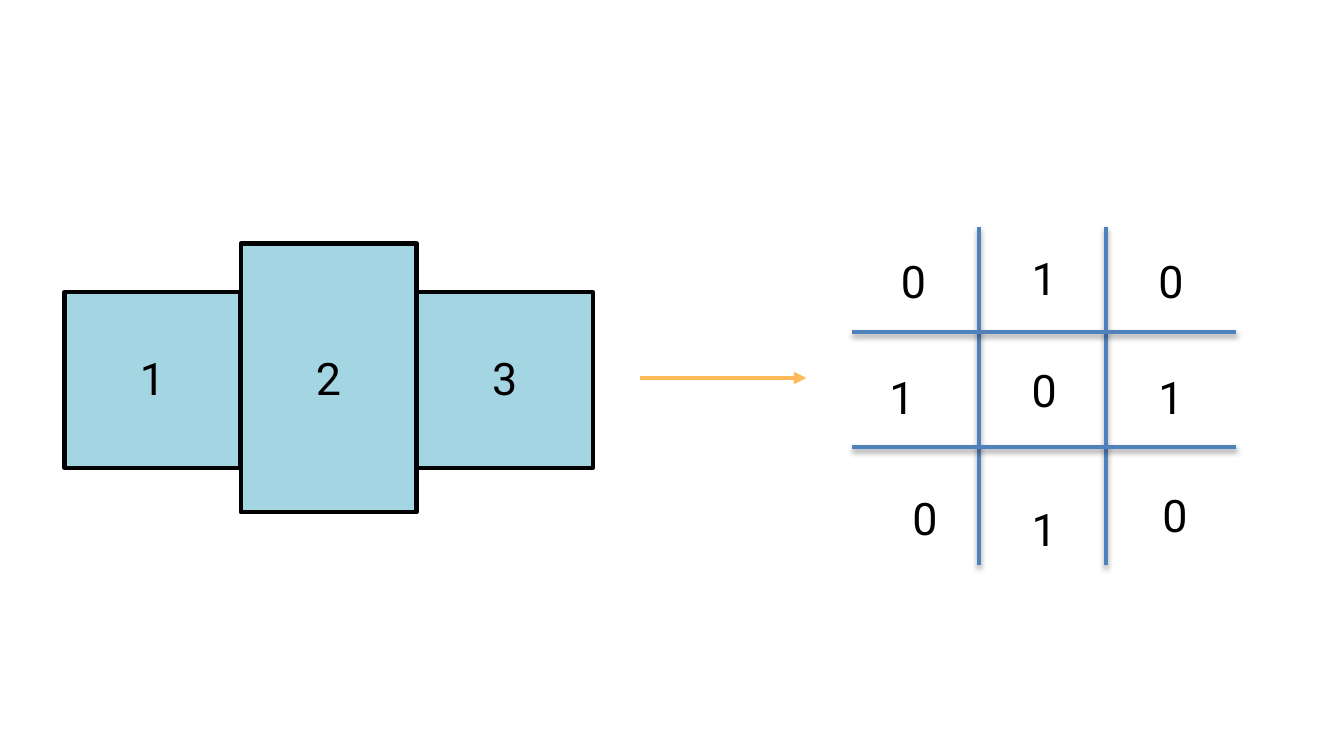
from lxml import etree
from pptx import Presentation
from pptx.dml.color import RGBColor
from pptx.enum.shapes import MSO_CONNECTOR, MSO_SHAPE
from pptx.enum.text import MSO_ANCHOR, PP_ALIGN
from pptx.oxml import parse_xml
from pptx.oxml.ns import nsdecls, qn
from pptx.util import Inches, Pt

STRAIGHT, RECT = MSO_CONNECTOR.STRAIGHT, MSO_SHAPE.RECTANGLE
MIDDLE, CENTER = MSO_ANCHOR.MIDDLE, PP_ALIGN.CENTER

SLIDE_W = 10
SLIDE_H = SLIDE_W * 9 / 16
LABEL_W, LABEL_H = 0.97, 1.01
LABEL_FONT = {"name": "Roboto", "size": Pt(24)}
LABEL_FRAME = {"word_wrap": True, "vertical_anchor": MIDDLE}
LABEL_FRAME.update({f"margin_{side}": Inches(0.1) for side in ("left", "top", "right", "bottom")})

SHADOW = (
    f'<a:effectLst {nsdecls("a")}>'
    f'<a:outerShdw blurRad="{Pt(3.1)}" dist="{Pt(1.6)}" dir="5400000" rotWithShape="0">'
    '<a:srgbClr val="000000"><a:alpha val="38000"/></a:srgbClr>'
    "</a:outerShdw></a:effectLst>"
)
NO_EFFECT = f'<a:effectLst {nsdecls("a")}/>'

GRID_COLUMNS = (0.33, 0.66)
GRID_ROWS = (0.31, 0.65)
# Digit and its centre, as shares of the grid's width and height
GRID_DIGITS = (
    ("0", 0.16, 0.16), ("1", 0.5, 0.15), ("0", 0.83, 0.16),
    ("1", 0.13, 0.5), ("0", 0.5, 0.48), ("1", 0.83, 0.5),
    ("0", 0.19, 0.86), ("1", 0.5, 0.89), ("0", 0.84, 0.85),
)


def color(hex_string):
    return RGBColor.from_string(hex_string)


def set_attrs(target, values):
    for name, value in values.items():
        setattr(target, name, value)


def add_label(slide, text, cx, cy):
    """Add a digit centred on (cx, cy)."""
    box = [Inches(v) for v in (cx - LABEL_W / 2, cy - LABEL_H / 2, LABEL_W, LABEL_H)]
    tf = slide.shapes.add_textbox(*box).text_frame
    set_attrs(tf, LABEL_FRAME)
    p = tf.paragraphs[0]
    p.alignment = CENTER
    r = p.add_run()
    r.text = text
    set_attrs(r.font, LABEL_FONT)
    r.font.color.rgb = color("000000")


def add_line(slide, ends, line_color, width, effect):
    line = slide.shapes.add_connector(STRAIGHT, *[Inches(v) for v in ends])
    line.line.color.rgb = color(line_color)
    line.line.width = Pt(width)
    line._element.spPr.append(parse_xml(effect))
    return line


def add_block(slide, x, y, w, h):
    sp = slide.shapes.add_shape(RECT, *[Inches(v) for v in (x, y, w, h)])
    sp.shadow.inherit = False
    sp.fill.solid()
    sp.fill.fore_color.rgb = color("4BACC6")
    fill_color = sp._element.spPr.find(qn("a:solidFill"))[0]
    etree.SubElement(fill_color, qn("a:alpha")).set("val", "50000")
    sp.line.color.rgb = color("000000")
    sp.line.width = Pt(2.25)


def add_podium(slide, x, y, w, h):
    """Add two squares with a taller block between them, numbered 1 to 3."""
    step = w / 3
    for column in (0, 2):
        add_block(slide, x + column * step, y + 0.18 * h, step, step)
    add_block(slide, x + step, y, step, h)
    for column in range(3):
        add_label(slide, str(column + 1), x + (column + 0.5) * step, y + h / 2)


def add_arrow(slide, x, y, w):
    arrow = add_line(slide, (x, y, x + w, y), "FFB958", 2.25, NO_EFFECT)
    ln = arrow.line._get_or_add_ln()
    etree.SubElement(ln, qn("a:tailEnd")).set("type", "triangle")


def add_digit_grid(slide, x, y, w, h):
    columns = [(x + s * w, y, x + s * w, y + h) for s in GRID_COLUMNS]
    rows = [(x + w, y + s * h, x, y + s * h) for s in GRID_ROWS]
    for ends in columns + rows:
        add_line(slide, ends, "4F81BD", 2, SHADOW)
    for digit, across, down in GRID_DIGITS:
        add_label(slide, digit, x + across * w, y + down * h)


def main():
    prs = Presentation()
    prs.slide_width, prs.slide_height = Inches(SLIDE_W), Inches(SLIDE_H)
    slide = prs.slides.add_slide(prs.slide_layouts[6])
    middle = SLIDE_H / 2
    add_podium(slide, 0.48, middle - 1, 3.93, 2)
    add_arrow(slide, 4.76, middle, 1.24)
    add_digit_grid(slide, 6.34, 0.3 * SLIDE_H, 2.86, 2.52)
    prs.save("out.pptx")


if __name__ == "__main__":
    main()
